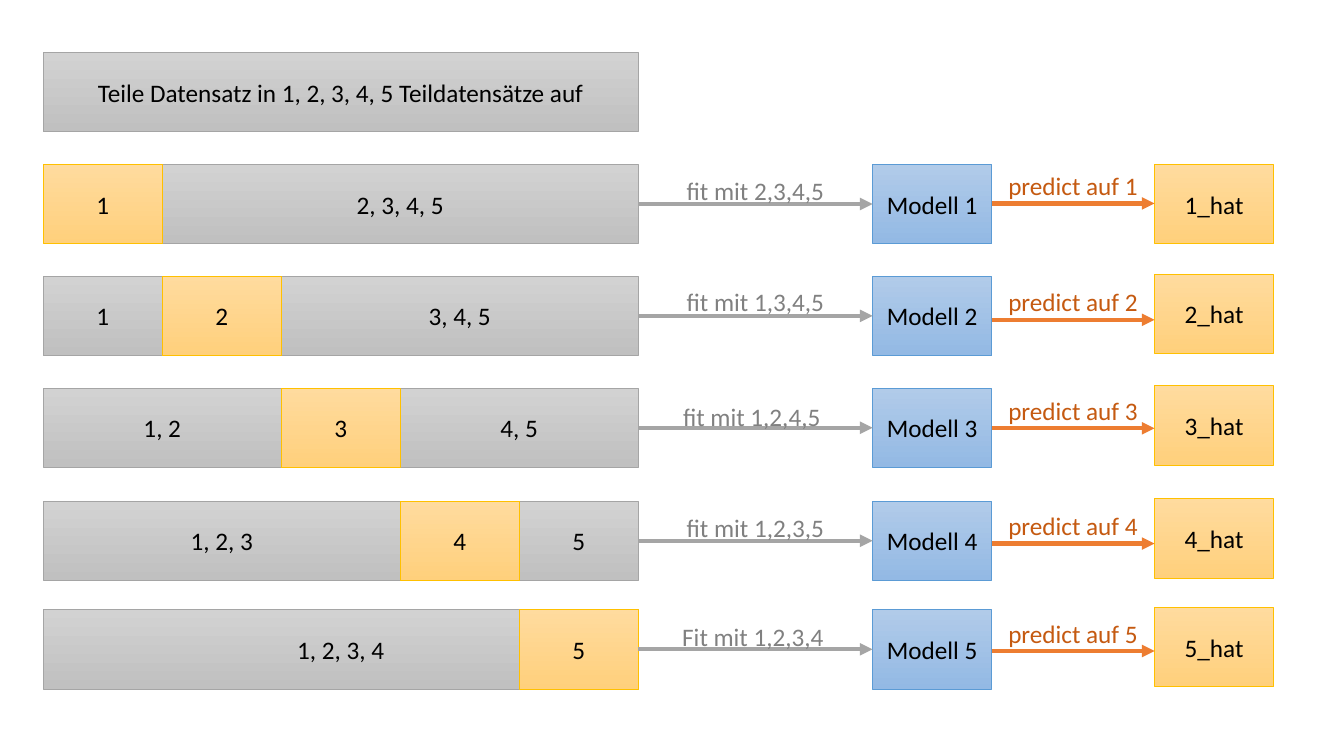
from dataclasses import dataclass

from lxml import etree
from pptx import Presentation
from pptx.dml.color import RGBColor
from pptx.enum.shapes import MSO_CONNECTOR, MSO_SHAPE
from pptx.enum.text import MSO_ANCHOR, MSO_AUTO_SIZE, PP_ALIGN
from pptx.oxml.ns import qn
from pptx.util import Inches, Pt

RECT = MSO_SHAPE.RECTANGLE
STRAIGHT = MSO_CONNECTOR.STRAIGHT
CENTER = PP_ALIGN.CENTER
MIDDLE = MSO_ANCHOR.MIDDLE
GROW = MSO_AUTO_SIZE.SHAPE_TO_FIT_TEXT


@dataclass(frozen=True)
class Theme:
    font: str = "Calibri"
    size: int = 18
    text: str = "000000"
    fit_text: str = "808080"
    fit_line: str = "A5A5A5"
    predict_text: str = "C55A11"
    predict_line: str = "ED7D31"
    # Box styles: gradient top, gradient bottom, outline
    train: tuple = ("D2D2D2", "C0C0C0", "A5A5A5")
    test: tuple = ("FFDB9E", "FFD07C", "FFC000")
    model: tuple = ("B1CBE9", "93B9E4", "5B9BD5")
    outline: float = 0.5
    arrow: float = 3


# Grid: one column per part of the data set, one row per fold
LEFT, TOP = 0.43, 0.52
COL, ROW = 1.18, 1.11
BOX_H = 0.71
LABEL_H = 0.36


def grid_x(col):
    return Inches(LEFT + col * COL)


def grid_y(row):
    return Inches(TOP + row * ROW)


class Diagram:
    def __init__(self, prs, theme):
        self.theme = theme
        self.s = prs.slides.add_slide(prs.slide_layouts[6])

    def set_text(self, tf, text, color):
        tf.word_wrap = True
        p = tf.paragraphs[0]
        p.text = text
        p.alignment = CENTER
        p.font.name = self.theme.font
        p.font.size = Pt(self.theme.size)
        p.font.color.rgb = RGBColor.from_string(color)

    def box(self, col, row, cols, text, style):
        sp = self.s.shapes.add_shape(RECT, grid_x(col), grid_y(row),
                                     Inches(cols * COL), Inches(BOX_H * ROW))
        sp.shadow.inherit = False
        sp.fill.gradient()
        sp.fill.gradient_angle = 270
        for stop, color in zip(sp.fill.gradient_stops, style):
            stop.color.rgb = RGBColor.from_string(color)
        sp.line.color.rgb = RGBColor.from_string(style[2])
        sp.line.width = Pt(self.theme.outline)
        sp.text_frame.vertical_anchor = MIDDLE
        self.set_text(sp.text_frame, text, self.theme.text)

    def label(self, parent, col, row, cols, text, color):
        sp = parent.shapes.add_textbox(grid_x(col), grid_y(row),
                                       Inches(cols * COL), Inches(LABEL_H * ROW))
        self.set_text(sp.text_frame, text, color)
        sp.text_frame.auto_size = GROW

    def arrow(self, parent, start, end, row, color):
        y = grid_y(row)
        sp = parent.shapes.add_connector(STRAIGHT, grid_x(start), y, grid_x(end), y)
        sp.line.color.rgb = RGBColor.from_string(color)
        sp.line.width = Pt(self.theme.arrow)
        props = sp.element.spPr
        etree.SubElement(props.find(qn("a:ln")), qn("a:tailEnd"), type="triangle")
        etree.SubElement(props, qn("a:effectLst"))

    def group(self):
        return self.s.shapes.add_group_shape()


theme = Theme()
prs = Presentation()
prs.slide_width, prs.slide_height = Inches(13.33), Inches(7.5)
d = Diagram(prs, theme)

PARTS = 5
MODEL_COL, HAT_COL = 6.97, 9.34
FIT_COLS = MODEL_COL - PARTS
PREDICT_COL = MODEL_COL + 1
PREDICT_COLS = HAT_COL - PREDICT_COL

# Per fold: row, hat row, predict arrow row, fit label column and row, fit verb
FOLDS = [
    (1, 1, 1.35, 5, 1.05, "fit"),
    (2, 1.98, 2.39, 5, 2.05, "fit"),
    (3, 2.98, 3.36, 4.97, 3.07, "fit"),
    (4.01, 3.99, 4.39, 5, 4.07, "fit"),
    (4.98, 4.96, 5.35, 4.98, 5.04, "Fit"),
]

# Whole data set
d.box(0, 0, PARTS, "Teile Datensatz in 1, 2, 3, 4, 5 Teildatensätze auf", theme.train)

for n, (row, hat_row, predict_row, fit_col, fit_row, verb) in enumerate(FOLDS, 1):
    before = [str(i) for i in range(1, n)]
    after = [str(i) for i in range(n + 1, PARTS + 1)]

    # Training parts around the held-out part; the last fold lies on a full bar
    if before:
        cols = len(before) if after else PARTS
        d.box(0, row, cols, ", ".join(before), theme.train)
    if after:
        d.box(n, row, len(after), ", ".join(after), theme.train)
    d.box(n - 1, row, 1, str(n), theme.test)

    # Model and its prediction
    d.box(MODEL_COL, row, 1, f"Modell {n}", theme.model)
    d.box(HAT_COL, hat_row, 1, f"{n}_hat", theme.test)

    # Fit step
    d.arrow(d.s, PARTS, MODEL_COL, row + BOX_H / 2, theme.fit_line)
    d.label(d.s, fit_col, fit_row, FIT_COLS,
            f"{verb} mit {','.join(before + after)}", theme.fit_text)

    # Predict step
    step = d.group()
    d.label(step, PREDICT_COL, predict_row - 0.34, PREDICT_COLS,
            f"predict auf {n}", theme.predict_text)
    d.arrow(step, PREDICT_COL, HAT_COL, predict_row, theme.predict_line)

prs.save("out.pptx")
